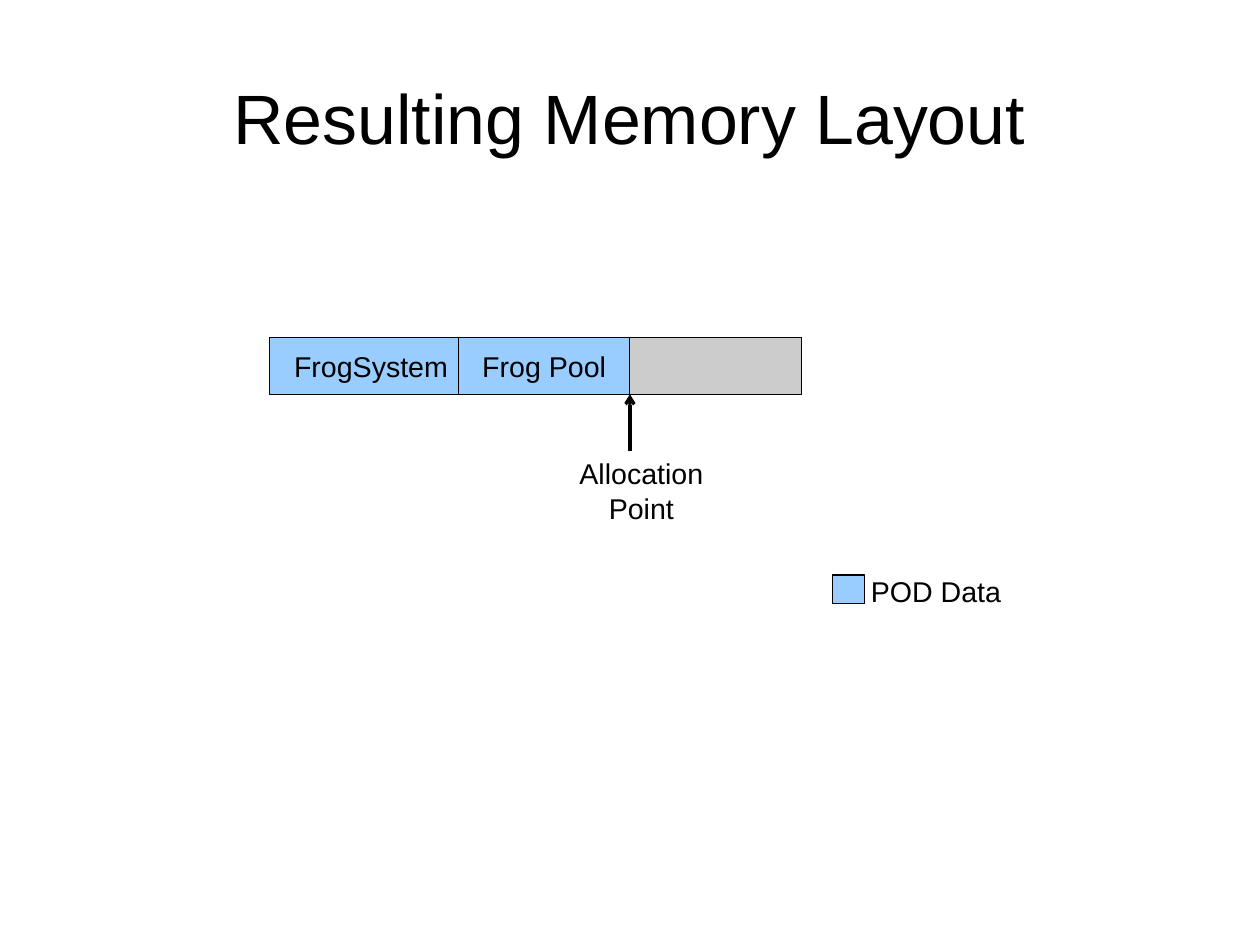
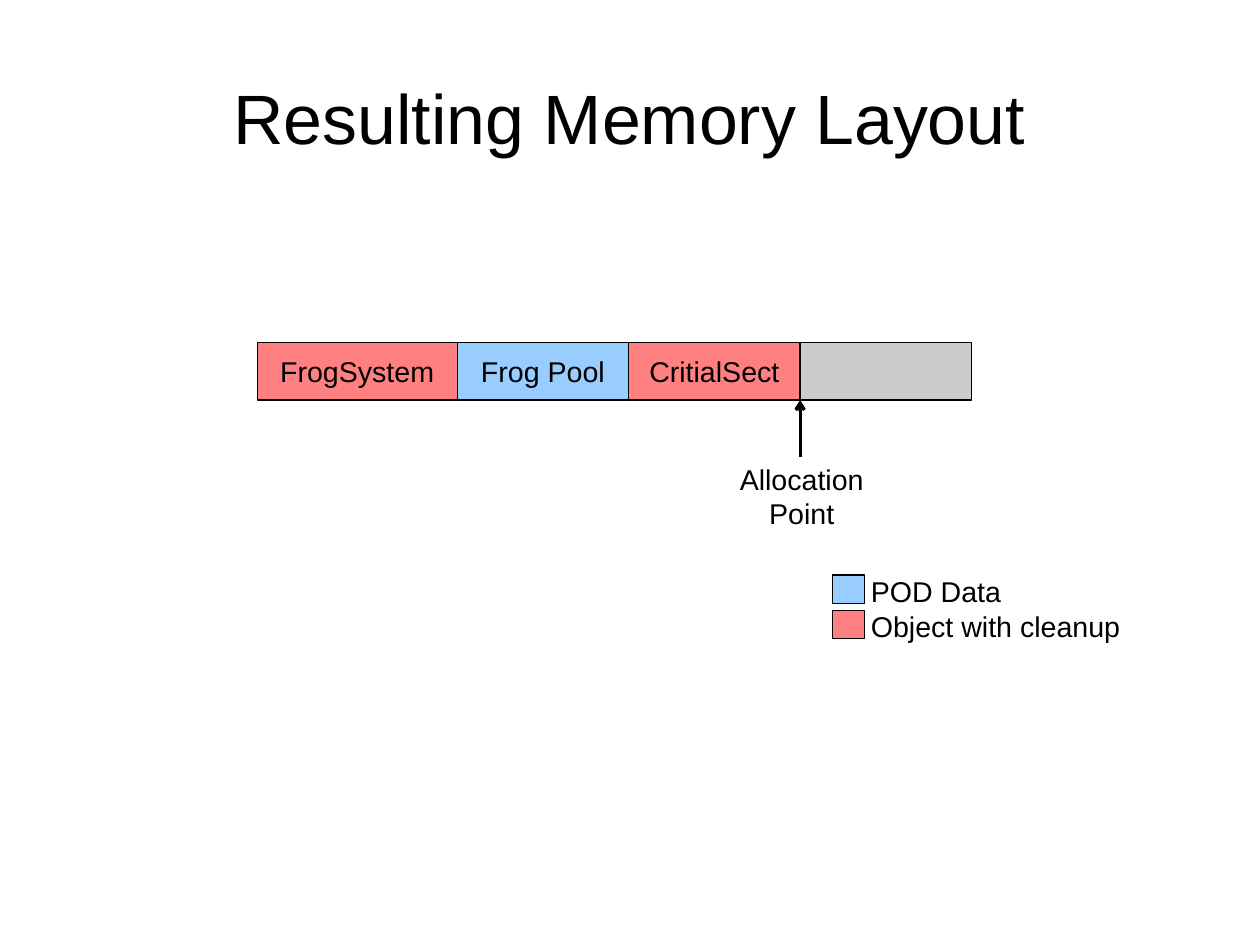
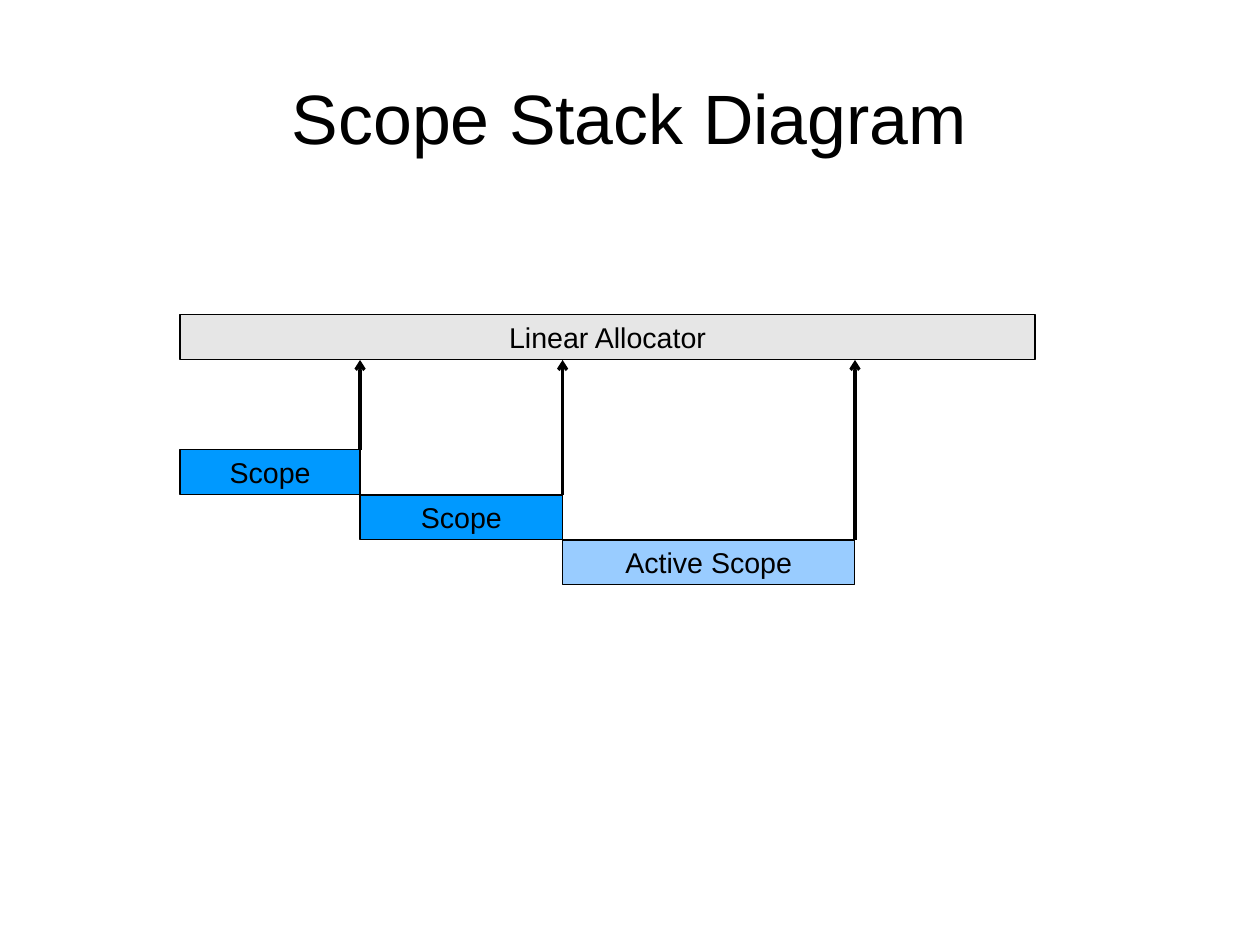
from pptx import Presentation
from pptx.dml.color import RGBColor
from pptx.enum.shapes import MSO_CONNECTOR, MSO_SHAPE
from pptx.enum.text import MSO_ANCHOR, MSO_AUTO_SIZE, PP_ALIGN
from pptx.oxml.ns import qn
from pptx.util import Pt
from lxml import etree

RECT = MSO_SHAPE.RECTANGLE
STRAIGHT = MSO_CONNECTOR.STRAIGHT
MIDDLE, TOP = MSO_ANCHOR.MIDDLE, MSO_ANCHOR.TOP
CENTER, LEFT = PP_ALIGN.CENTER, PP_ALIGN.LEFT
NO_FIT = MSO_AUTO_SIZE.NONE

FONT = "Arial"
BODY_SIZE, TITLE_SIZE = 18, 44
SLIDE_W, SLIDE_H = 793.7, 595.3
TITLE_BOX = (39.6, 23.8, 714.3, 99.4)
LEGEND_BOX = (524.2, 362.2, 200, 18)
COLORS = {
    "text": "000000",
    "line": "000000",
    "pod": "99CCFF",
    "cleanup": "FF8080",
    "free": "CCCCCC",
    "allocator": "E6E6E6",
    "scope": "0099FF",
    "active": "99CCFF",
}


def rgb(name):
    """Return the named colour."""
    return RGBColor.from_string(COLORS[name])


def write(tf, lines, size=BODY_SIZE, align=CENTER, anchor=MIDDLE, insets=(7.2, 3.6)):
    """Fill a text frame with one paragraph per line."""
    tf.word_wrap = True
    tf.auto_size = NO_FIT
    tf.vertical_anchor = anchor
    tf.margin_left = tf.margin_right = Pt(insets[0])
    tf.margin_top = tf.margin_bottom = Pt(insets[1])
    for i, line in enumerate(lines):
        p = tf.add_paragraph() if i else tf.paragraphs[0]
        p.alignment = align
        r = p.add_run()
        r.text = line
        r.font.name = FONT
        r.font.size = Pt(size)
        r.font.color.rgb = rgb("text")


def add_title_slide(prs, title):
    """Add a slide with the shared title style."""
    s = prs.slides.add_slide(prs.slide_layouts[5])
    sp = s.shapes.title
    sp.left, sp.top, sp.width, sp.height = map(Pt, TITLE_BOX)
    write(sp.text_frame, [title], TITLE_SIZE, insets=(0, 0))
    return s


def add_block(s, box, color, label=None):
    """Draw an outlined rectangle with an optional centred label."""
    sp = s.shapes.add_shape(RECT, *map(Pt, box))
    sp.shadow.inherit = False
    sp.fill.solid()
    sp.fill.fore_color.rgb = rgb(color)
    sp.line.color.rgb = rgb("line")
    sp.line.width = Pt(0)
    if label:
        write(sp.text_frame, [label])


def add_text(s, box, lines, align):
    """Place a top-anchored text box."""
    sp = s.shapes.add_textbox(*map(Pt, box))
    write(sp.text_frame, lines, align=align, anchor=TOP)


def add_up_arrow(s, x, bottom, top):
    """Draw a thin vertical arrow pointing up."""
    cxn = s.shapes.add_connector(STRAIGHT, Pt(x), Pt(bottom), Pt(x), Pt(top))
    cxn.line.color.rgb = rgb("line")
    cxn.line.width = Pt(0)
    etree.SubElement(cxn.line._get_or_add_ln(), qn("a:tailEnd"), type="arrow")
    etree.SubElement(cxn._element.spPr, qn("a:effectLst"))


def add_memory_row(s, box, cells, overlap, label_shift):
    """Draw memory cells, then free space with the allocation point at its start."""
    x, top, cell_w, h = box
    for label, color, extra in cells:
        add_block(s, (x, top, cell_w + extra, h), color, label)
        x += cell_w + extra - (overlap if extra else 0)
    add_block(s, (x, top, cell_w, h), "free")
    bottom = top + h
    add_text(s, (x - 55 + label_shift, bottom + h - 0.5, 110, 49),
             ["Allocation", "Point"], CENTER)
    add_up_arrow(s, x, bottom + h, bottom)


def add_legend(s, box, entries):
    """List colour swatches with their meaning."""
    left, top, w, h = box
    for i, (label, color) in enumerate(entries):
        y = top + i * 22.3
        add_text(s, (left + 17.3, y - 4.3, w - 17.3, 27.4), [label], LEFT)
        add_block(s, (left, y, 20.2, h), color)


def add_scope_stack(s, box, scopes):
    """Draw the allocator bar and the descending scopes that point to it."""
    left, top, w, h = box
    add_block(s, box, "allocator", "Linear Allocator")
    x, y = left, top + 3 * h
    for label, color, scope_w in scopes:
        add_block(s, (x, y, scope_w, h), color, label)
        x += scope_w
        add_up_arrow(s, x, y, top + h)
        y += h


def main():
    """Build the three slides."""
    prs = Presentation()
    prs.slide_width, prs.slide_height = Pt(SLIDE_W), Pt(SLIDE_H)
    pod, cleanup = ("POD Data", "pod"), ("Object with cleanup", "cleanup")

    s = add_title_slide(prs, "Resulting Memory Layout")
    add_memory_row(s, (170, 212.4, 108, 36),
                   [("FrogSystem", "pod", 19.5), ("Frog Pool", "pod", 0)], 8.7, 7.2)
    add_legend(s, LEGEND_BOX, [pod])

    s = add_title_slide(prs, "Resulting Memory Layout")
    add_memory_row(s, (162, 216, 108, 36),
                   [("FrogSystem", "cleanup", 18), ("Frog Pool", "pod", 0),
                    ("CritialSect", "cleanup", 0)], 0, 1)
    add_legend(s, LEGEND_BOX, [pod, cleanup])

    s = add_title_slide(prs, "Scope Stack Diagram")
    add_scope_stack(s, (113.4, 198.4, 538.6, 28.35),
                    [("Scope", "scope", 113.4), ("Scope", "scope", 127.6),
                     ("Active Scope", "active", 184.2)])
    prs.save("out.pptx")


if __name__ == "__main__":
    main()
